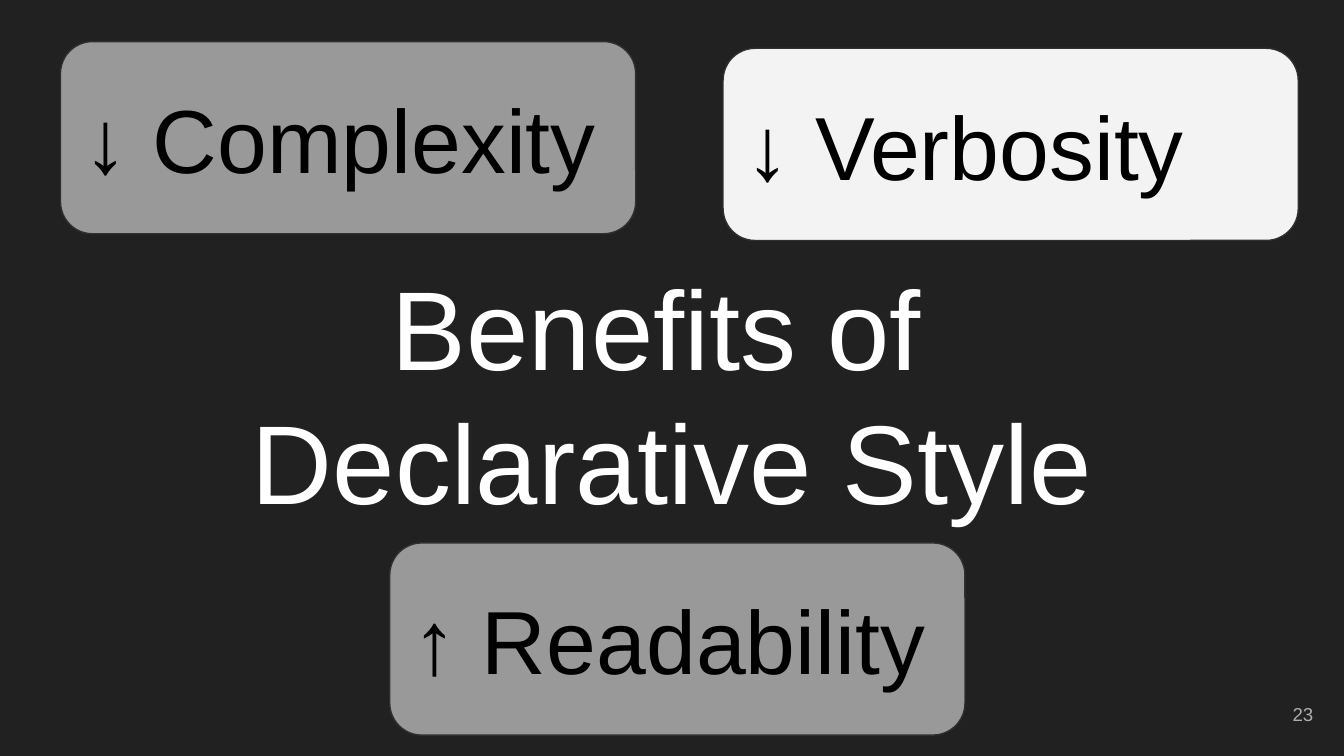
from dataclasses import dataclass

from pptx import Presentation
from pptx.dml.color import RGBColor
from pptx.enum.shapes import MSO_SHAPE
from pptx.enum.text import MSO_ANCHOR, PP_ALIGN
from pptx.util import Inches, Pt

ROUNDED = MSO_SHAPE.ROUNDED_RECTANGLE
MIDDLE = MSO_ANCHOR.MIDDLE
LEFT, CENTER, RIGHT = PP_ALIGN.LEFT, PP_ALIGN.CENTER, PP_ALIGN.RIGHT


@dataclass(frozen=True)
class Theme:
    """Colours, font and type sizes of the slide."""
    font: str = "Arial"
    background: str = "212121"
    title: str = "FFFFFF"
    muted: str = "999999"
    highlight: str = "F3F3F3"
    outline: str = "303030"
    label: str = "000000"
    number: str = "ADADAD"
    title_size: int = 60
    label_size: int = 48
    number_size: int = 10


THEME = Theme()
CARD_SIZE = (4.28, 1.43)
BENEFITS = [
    ("↑ Readability", 2.9, 4.04, THEME.muted),
    ("↓ Verbosity", 5.38, 0.36, THEME.highlight),
    ("↓ Complexity", 0.45, 0.31, THEME.muted),
]


def write_lines(shape, lines, size, color, alignment):
    """Write one paragraph per line, centred vertically in the shape."""
    frame = shape.text_frame
    frame.word_wrap = True
    frame.vertical_anchor = MIDDLE
    frame.margin_left = frame.margin_right = Inches(0.1)
    frame.margin_top = frame.margin_bottom = Inches(0.1)
    for index, line in enumerate(lines):
        paragraph = frame.add_paragraph() if index else frame.paragraphs[0]
        paragraph.alignment = alignment
        run = paragraph.add_run()
        run.text = line
        run.font.name = THEME.font
        run.font.size = Pt(size)
        run.font.color.rgb = RGBColor.from_string(color)


def add_title(slide, left, top, width, height):
    """Add the two-line title."""
    title = slide.shapes.add_textbox(*map(Inches, (left, top, width, height)))
    write_lines(title, ["Benefits of ", "Declarative Style"],
                THEME.title_size, THEME.title, CENTER)


def add_benefit_card(slide, label, left, top, width, height, fill):
    """Add a rounded card that names one benefit."""
    card = slide.shapes.add_shape(
        ROUNDED, *map(Inches, (left, top, width, height)))
    card.shadow.inherit = False
    card.fill.solid()
    card.fill.fore_color.rgb = RGBColor.from_string(fill)
    card.line.color.rgb = RGBColor.from_string(THEME.outline)
    card.line.width = Pt(0.75)
    write_lines(card, [label], THEME.label_size, THEME.label, LEFT)


def add_slide_number(slide, number, left, top, width, height):
    """Add the slide number in the lower right corner."""
    box = slide.shapes.add_textbox(*map(Inches, (left, top, width, height)))
    write_lines(box, [number], THEME.number_size, THEME.number, RIGHT)


def build_benefits_slide(presentation):
    """Build the slide with the title and its three benefit cards."""
    slide = presentation.slides.add_slide(presentation.slide_layouts[6])
    background = slide.background.fill
    background.solid()
    background.fore_color.rgb = RGBColor.from_string(THEME.background)
    add_title(slide, 0.34, 2.46, 9.32, 0.92)
    for label, left, top, fill in BENEFITS:
        add_benefit_card(slide, label, left, top, *CARD_SIZE, fill)
    add_slide_number(slide, "23", 9.27, 5.1, 0.6, 0.43)


def main():
    """Create and save a widescreen presentation."""
    presentation = Presentation()
    presentation.slide_width = Inches(10)
    presentation.slide_height = presentation.slide_width * 9 // 16
    build_benefits_slide(presentation)
    presentation.save("out.pptx")


if __name__ == "__main__":
    main()
